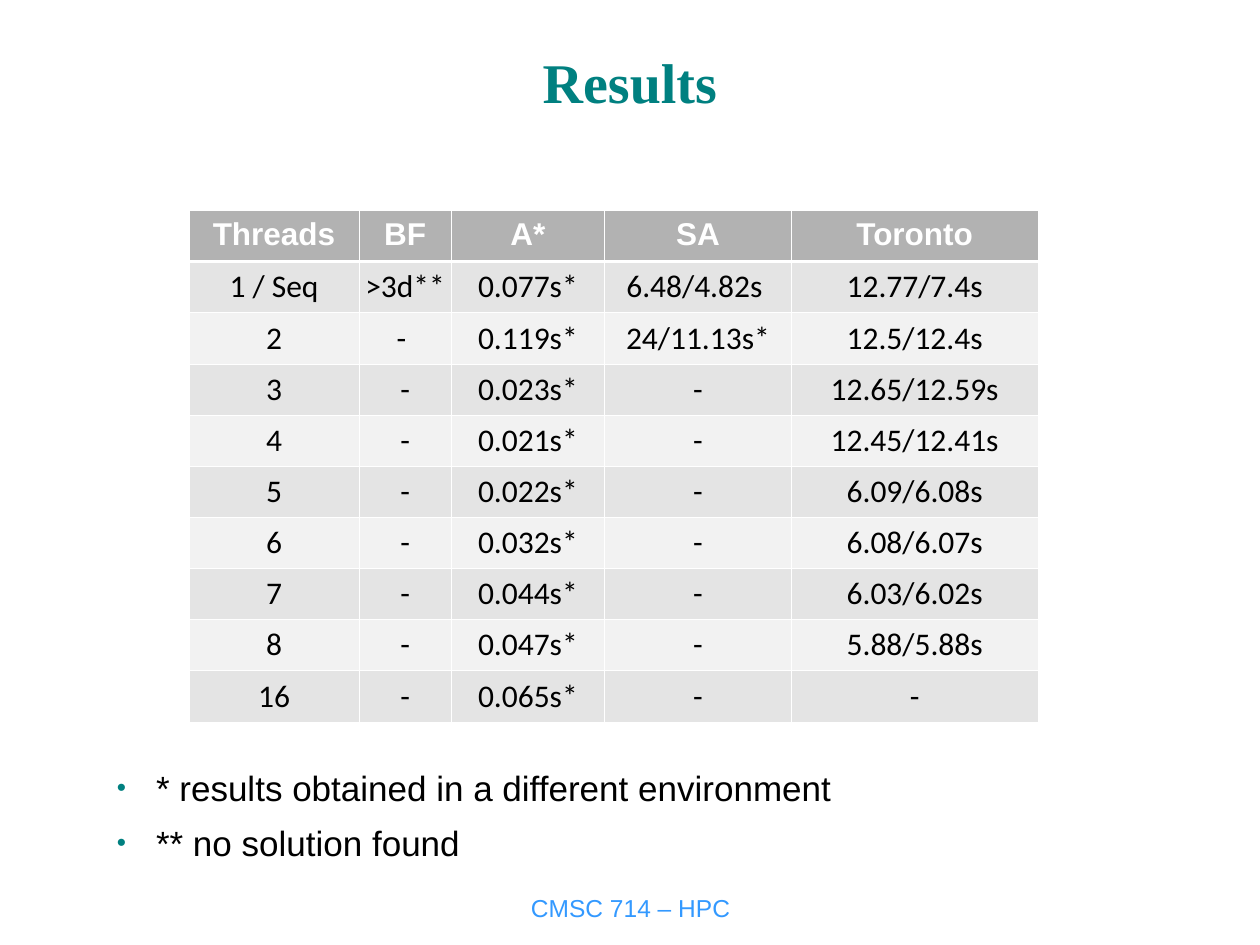
"""Build the results slide: title, timing table, notes and footer."""
from lxml import etree
from pptx import Presentation
from pptx.dml.color import RGBColor
from pptx.enum import text
from pptx.oxml import ns
from pptx.util import Inches, Pt

TEAL = RGBColor(0x00, 0x80, 0x80)
BLUE = RGBColor(0x33, 0x99, 0xFF)
BLACK = RGBColor(0x00, 0x00, 0x00)
WHITE = RGBColor(0xFF, 0xFF, 0xFF)
HEADER_GREY = RGBColor(0xB2, 0xB2, 0xB2)
DARK_BAND = RGBColor(0xE4, 0xE4, 0xE4)
LIGHT_BAND = RGBColor(0xF2, 0xF2, 0xF2)

RESULTS = [
    ("Threads", "BF", "A*", "SA", "Toronto"),
    ("1 / Seq", ">3d**", "0.077s*", "6.48/4.82s ", "12.77/7.4s"),
    ("2", "- ", "0.119s*", "24/11.13s*", "12.5/12.4s"),
    ("3", "-", "0.023s*", "-", "12.65/12.59s"),
    ("4", "-", "0.021s*", "-", "12.45/12.41s"),
    ("5", "-", "0.022s*", "-", "6.09/6.08s"),
    ("6", "-", "0.032s*", "-", "6.08/6.07s"),
    ("7", "-", "0.044s*", "-", "6.03/6.02s"),
    ("8", "-", "0.047s*", "-", "5.88/5.88s"),
    ("16", "-", "0.065s*", "-", "-"),
]
COLUMN_WIDTHS = (1.35, 0.73, 1.22, 1.48, 1.96)
NOTES = ("* results obtained in a different environment", "** no solution found")


def write(paragraph, words, size, font, color, bold=False, align=text.PP_ALIGN.CENTER):
    paragraph.alignment = align
    run = paragraph.add_run()
    run.text = words
    run.font.size = Pt(size)
    run.font.name = font
    run.font.color.rgb = color
    run.font.bold = bold


def add_xml(parent, tag, **attributes):
    return etree.SubElement(parent, ns.qn(tag), attributes)


prs = Presentation()
prs.slide_width, prs.slide_height = Inches(10), Inches(7.5)
slide = prs.slides.add_slide(prs.slide_layouts[6])

title = slide.shapes.add_textbox(Inches(0.75), Inches(0.17), Inches(8.5), Inches(0.79)).text_frame
title.word_wrap = True
title.vertical_anchor = text.MSO_ANCHOR.BOTTOM
write(title.paragraphs[0], "Results", 32, "Times New Roman", TEAL, bold=True)

footer = slide.shapes.add_textbox(Inches(3.42), Inches(7.08), Inches(3.17), Inches(0.25)).text_frame
footer.word_wrap = False
footer.vertical_anchor = text.MSO_ANCHOR.MIDDLE
write(footer.paragraphs[0], "CMSC 714 – HPC", 14, "Arial", BLUE)

timings = slide.shapes.add_table(
    len(RESULTS), len(COLUMN_WIDTHS), Inches(1.5), Inches(1.67), Inches(6.75), Inches(4.06)
).table
for column, width in zip(timings.columns, COLUMN_WIDTHS):
    column.width = Inches(width)

for r, values in enumerate(RESULTS):
    for c, value in enumerate(values):
        cell = timings.cell(r, c)
        paragraph = cell.text_frame.paragraphs[0]
        if r == 0:
            band = HEADER_GREY
            write(paragraph, value, 18, "Arial", WHITE, bold=True)
        else:
            band = DARK_BAND if r % 2 else LIGHT_BAND
            cell.vertical_anchor = text.MSO_ANCHOR.BOTTOM
            cell.margin_left = cell.margin_right = Inches(0.01)
            write(paragraph, value, 18, "Calibri", BLACK)
        properties = cell._tc.get_or_add_tcPr()
        for side in "LRTB":
            under_header = (r, side) in ((0, "B"), (1, "T"))
            border = add_xml(properties, f"a:ln{side}", w=str(Pt(1.47 if under_header else 0.45)))
            add_xml(add_xml(border, "a:solidFill"), "a:srgbClr", val=str(WHITE))
        cell.fill.solid()
        cell.fill.fore_color.rgb = band

notes = slide.shapes.add_textbox(Inches(0.33), Inches(6), Inches(9.42), Inches(0.83)).text_frame
notes.word_wrap = True
for i, note in enumerate(NOTES):
    paragraph = notes.add_paragraph() if i else notes.paragraphs[0]
    write(paragraph, note, 20, "Arial", BLACK, align=text.PP_ALIGN.LEFT)
    paragraph.level = 1
    paragraph.line_spacing = 1.1
    paragraph.space_before = Pt(5)
    properties = paragraph._p.get_or_add_pPr()
    properties.set("marL", str(Inches(0.81)))
    properties.set("indent", str(Inches(-0.31)))
    add_xml(add_xml(properties, "a:buClr"), "a:srgbClr", val=str(TEAL))
    add_xml(properties, "a:buSzPct", val="75000")
    add_xml(properties, "a:buFont", typeface="Arial")
    add_xml(properties, "a:buChar", char="•")

prs.save("out.pptx")
